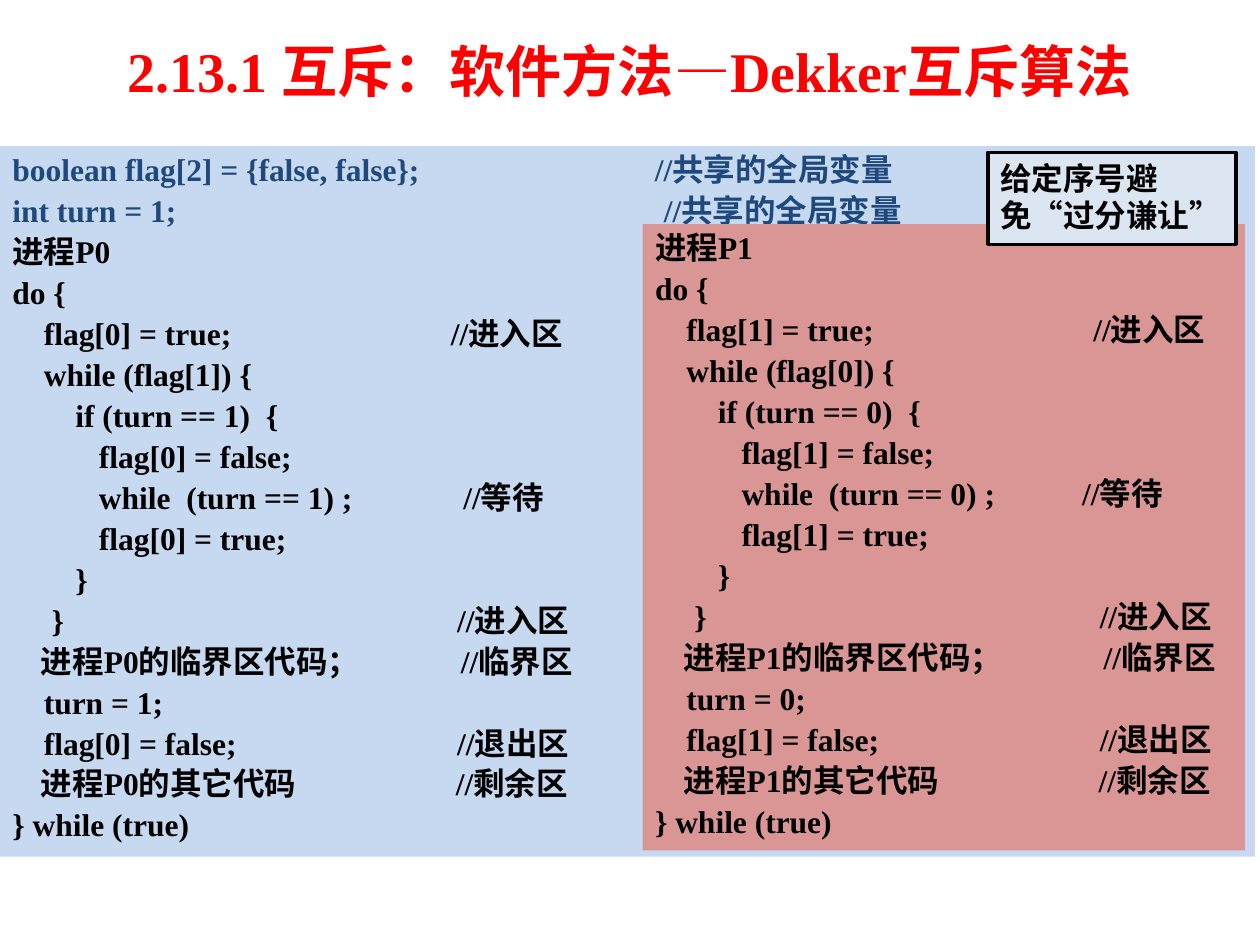
import dataclasses
import typing

import lxml.etree
import pptx
import pptx.dml.color
import pptx.enum.lang
import pptx.enum.shapes
import pptx.enum.text
import pptx.oxml.ns
import pptx.util

RGBColor = pptx.dml.color.RGBColor
BLUE = RGBColor(0xC6, 0xD9, 0xF1)
ROSE = RGBColor(0xD9, 0x96, 0x94)
PALE = RGBColor(0xDC, 0xE6, 0xF2)
NAVY = RGBColor(0x1F, 0x49, 0x7D)
RED = RGBColor(0xFF, 0x00, 0x00)
BLACK = RGBColor(0x00, 0x00, 0x00)
SERIF = "Times New Roman"
SANS = "Arial"
WIDTH = pptx.util.Inches(10)
HEIGHT = pptx.util.Inches(7.5)
CELL = WIDTH // 100


@dataclasses.dataclass(frozen=True)
class Box:
    col: float
    row: float
    cols: float
    rows: float

    def place(self) -> tuple[int, ...]:
        return tuple(
            round(n * CELL) for n in (self.col, self.row, self.cols, self.rows)
        )


@dataclasses.dataclass(frozen=True)
class Line:
    code: str
    note: str = ""
    stop: float = 0
    color: RGBColor = BLACK


@dataclasses.dataclass(frozen=True)
class Panel:
    box: Box
    fill: RGBColor
    lines: list[Line]


def process(me: int, wait: float) -> list[Line]:
    other = 1 - me
    return [
        Line(f"进程P{me}"),
        Line("do {"),
        Line(f"    flag[{me}] = true;", "进入区", 34.8),
        Line(f"    while (flag[{other}]) {{"),
        Line(f"        if (turn == {other})  {{"),
        Line(f"           flag[{me}] = false;"),
        Line(f"           while  (turn == {other}) ;", "等待", wait),
        Line(f"           flag[{me}] = true;"),
        Line("        }"),
        Line("     }", "进入区", 35.3),
        Line(f"    进程P{me}的临界区代码；", "临界区", 35.6),
        Line(f"    turn = {other};"),
        Line(f"    flag[{me}] = false;", "退出区", 35.3),
        Line(f"    进程P{me}的其它代码", "剩余区", 35.2),
        Line("} while (true)"),
    ]


SHARED = [
    Line("boolean flag[2] = {false, false};", "共享的全局变量", 51, NAVY),
    Line("int turn = 1;", "共享的全局变量", 51.7, NAVY),
]
PANELS = [
    Panel(Box(0, 11.6, 99.6, 56.4), BLUE, SHARED + process(0, 35.8)),
    Panel(Box(51, 17.8, 47.8, 49.7), ROSE, process(1, 33.9)),
]
TITLE = Box(0, 0.5, 100, 10.2)
HINT = Box(78.4, 12.1, 19.7, 7.3)


def add_run(para: typing.Any, text: str, size: int, face: str, color: RGBColor) -> None:
    run = para.add_run()
    run.text = text
    font = run.font
    font.size = pptx.util.Pt(size)
    font.name = face
    font.bold = True
    font.color.rgb = color
    font.language_id = pptx.enum.lang.MSO_LANGUAGE_ID.SIMPLIFIED_CHINESE


def add_child(node: typing.Any, tag: str, **values: str) -> typing.Any:
    return lxml.etree.SubElement(node, pptx.oxml.ns.qn(tag), **values)


def add_rect(slide: typing.Any, box: Box, fill: RGBColor) -> typing.Any:
    kind = pptx.enum.shapes.MSO_SHAPE.RECTANGLE
    shape = slide.shapes.add_shape(kind, *box.place())
    shape.shadow.inherit = False
    shape.fill.solid()
    shape.fill.fore_color.rgb = fill
    shape.line.fill.background()
    frame = shape.text_frame
    frame.word_wrap = True
    frame.vertical_anchor = pptx.enum.text.MSO_ANCHOR.TOP
    frame.paragraphs[0].alignment = pptx.enum.text.PP_ALIGN.LEFT
    return shape


def add_panel(slide: typing.Any, panel: Panel) -> None:
    frame = add_rect(slide, panel.box, panel.fill).text_frame
    frame.margin_top = pptx.util.Inches(0.03)
    frame.margin_bottom = 0
    for index, line in enumerate(panel.lines):
        para = frame.add_paragraph() if index else frame.paragraphs[0]
        para.alignment = pptx.enum.text.PP_ALIGN.LEFT
        props = para._p.get_or_add_pPr()
        if index:
            space = add_child(props, "a:spcBef")
            add_child(space, "a:spcPct", val="10000")
        text = line.code
        if line.note:
            tabs = add_child(props, "a:tabLst")
            add_child(tabs, "a:tab", pos=str(round(line.stop * CELL)), algn="l")
            text += f"\t//{line.note}"
        add_run(para, text, 18, SERIF, line.color)


def add_title(slide: typing.Any) -> None:
    frame = slide.shapes.add_textbox(*TITLE.place()).text_frame
    frame.word_wrap = True
    frame.vertical_anchor = pptx.enum.text.MSO_ANCHOR.MIDDLE
    para = frame.paragraphs[0]
    para.alignment = pptx.enum.text.PP_ALIGN.CENTER
    add_run(para, "2.13.1 互斥：软件方法—Dekker互斥算法", 32, SERIF, RED)


def add_hint(slide: typing.Any) -> None:
    shape = add_rect(slide, HINT, PALE)
    shape.line.color.rgb = BLACK
    shape.line.width = pptx.util.Pt(2)
    add_run(shape.text_frame.paragraphs[0], "给定序号避免“过分谦让”", 18, SANS, BLACK)


def main() -> None:
    deck = pptx.Presentation()
    deck.slide_width = WIDTH
    deck.slide_height = HEIGHT
    slide = deck.slides.add_slide(deck.slide_layouts[6])
    for panel in PANELS:
        add_panel(slide, panel)
    add_title(slide)
    add_hint(slide)
    deck.save("out.pptx")


if __name__ == "__main__":
    main()
